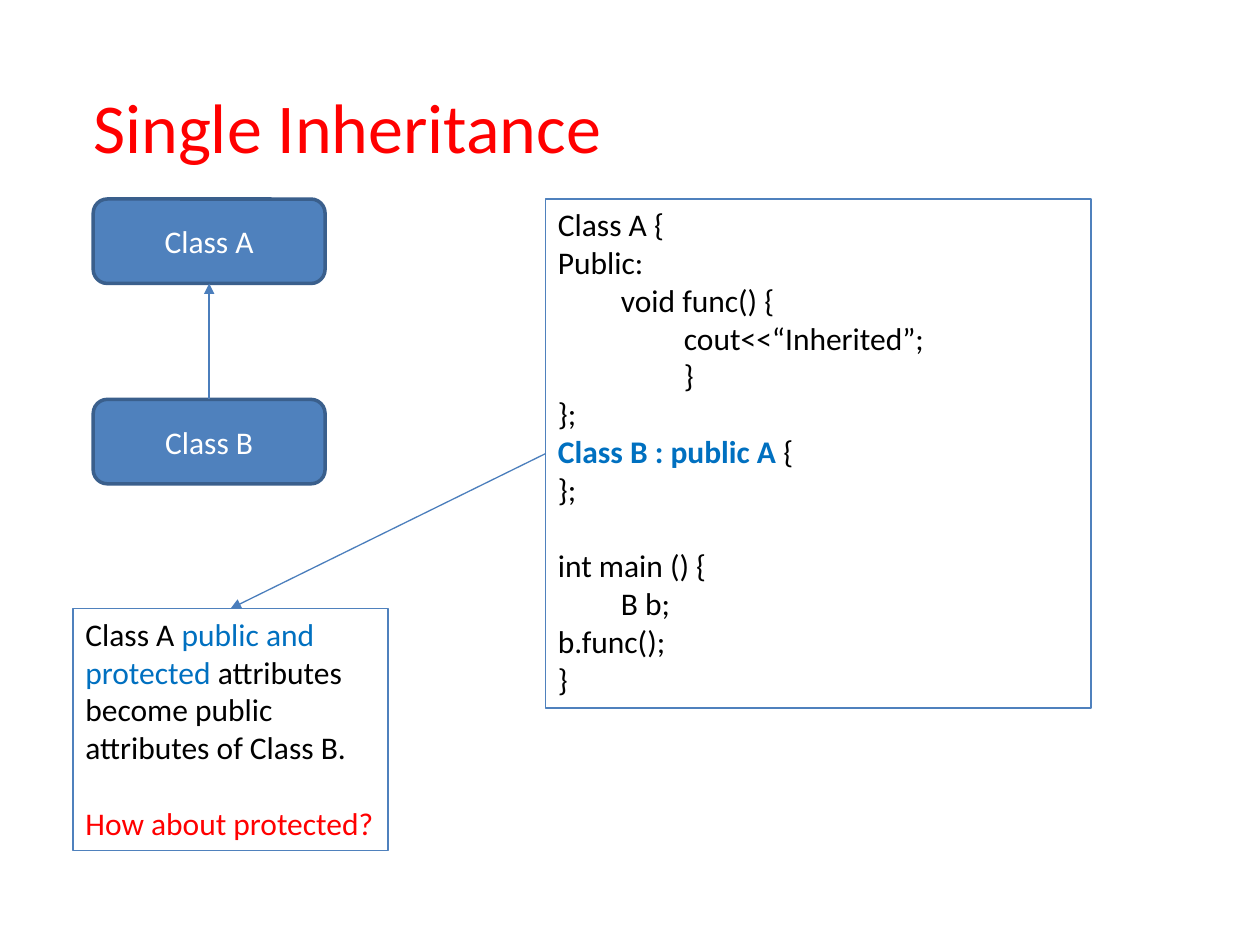
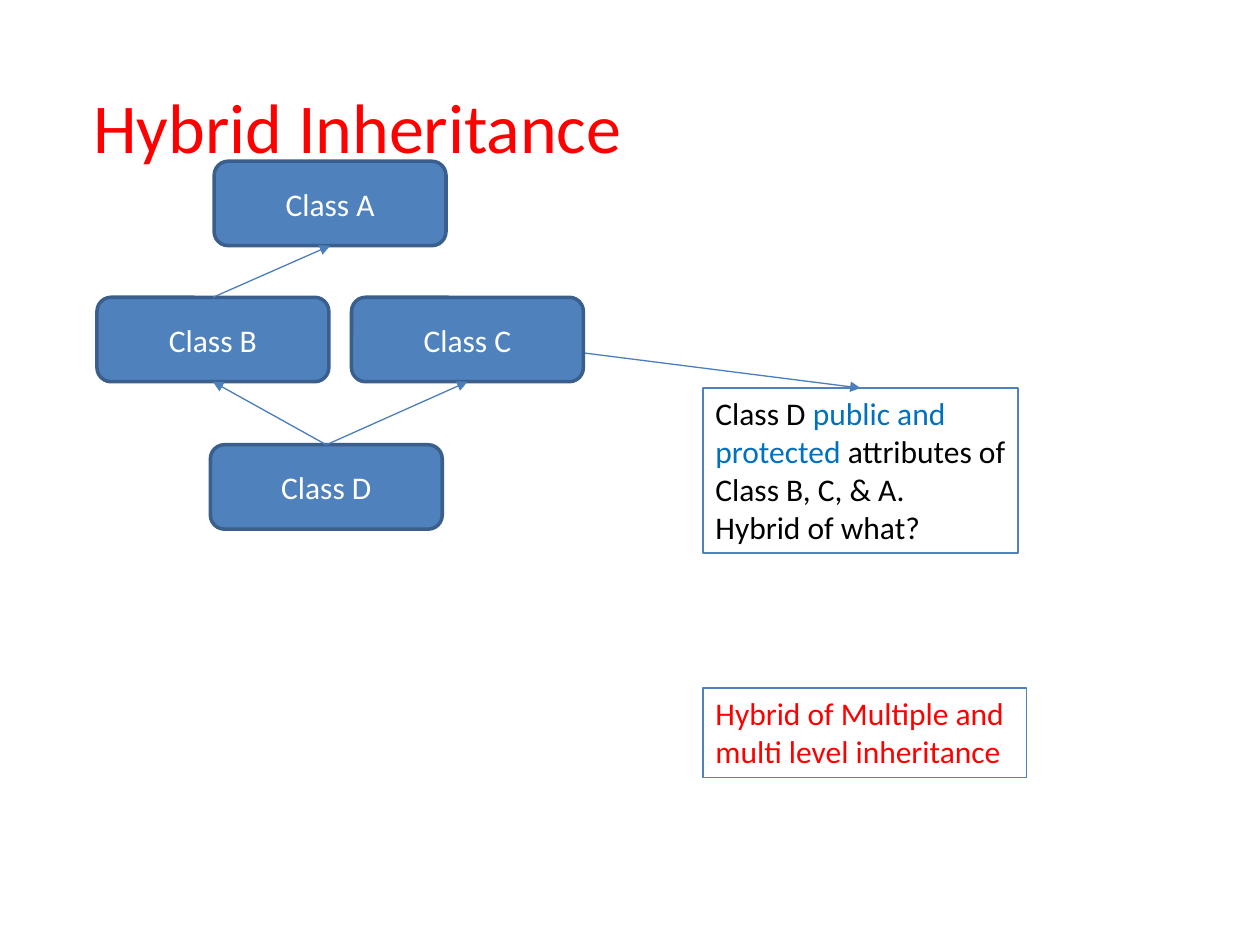
from lxml.etree import SubElement
from pptx import Presentation
from pptx.dml.color import RGBColor
from pptx.enum.shapes import MSO_CONNECTOR as CONNECTOR, MSO_SHAPE as SHAPE
from pptx.enum.text import MSO_ANCHOR as ANCHOR, PP_ALIGN as ALIGN
from pptx.oxml.ns import qn
from pptx.util import Inches, Pt

RED, BLUE, BLACK, WHITE = "FF0000", "0070C0", "000000", "FFFFFF"
NODE_FILL, NODE_EDGE, BOX_EDGE, ARROW = "4F81BD", "3A5F8C", "4F81BD", "4B7EBC"
TOP, LEFT, BOTTOM = 0, 1, 2
NODE_W, NODE_H = 1.84, 0.67
BODY = {"name": "Calibri", "size": Pt(18)}
TITLE = {"name": "Calibri", "size": Pt(40)}
NODE_FRAME = {"word_wrap": True, "vertical_anchor": ANCHOR.MIDDLE}
NOTE_FRAME = {"word_wrap": True, "vertical_anchor": ANCHOR.TOP}
NO_MARGINS = dict.fromkeys(
    ("margin_left", "margin_top", "margin_right", "margin_bottom"), 0)
LINE_GAP = Pt(22)

CODE = [
    "Class A {",
    "Public:",
    "\tvoid func() {",
    "\t\tcout<<“Inherited”;",
    "\t\t}",
    "};",
    [("Class B : public A ", BLUE, True), ("{", BLACK)],
    "};",
    "int main () {",
    "\tB b;",
    "b.func();",
    "}",
]


def rgb(value):
    """Turn a hex string into a colour."""
    return RGBColor.from_string(value)


def set_all(target, values):
    """Set each attribute named in a dict."""
    for name, value in values.items():
        setattr(target, name, value)


def write(tf, paragraphs, font=BODY, color=BLACK, align=ALIGN.LEFT, gap_before=None):
    """Write paragraphs, each a string or a list of (text, colour, bold) runs."""
    for i, runs in enumerate(paragraphs):
        p = tf.paragraphs[0] if i == 0 else tf.add_paragraph()
        p.alignment = align
        if i == gap_before:
            p.space_before = LINE_GAP
        for text, run_color, *bold in [(runs, color)] if isinstance(runs, str) else runs:
            r = p.add_run()
            r.text = text
            set_all(r.font, {**font, "bold": bool(bold)})
            r.font.color.rgb = rgb(run_color)


def add_title(s, text):
    """Add the slide title."""
    tf = s.shapes.add_textbox(*map(Inches, (0.74, 0.66, 8.52, 0.67))).text_frame
    set_all(tf, {"word_wrap": True, **NO_MARGINS})
    write(tf, [text], TITLE, RED)


def add_box(s, shape, place, edge, width, frame):
    """Add an outlined shape without fill or shadow."""
    sp = s.shapes.add_shape(shape, *map(Inches, place))
    sp.shadow.inherit = False
    sp.fill.background()
    sp.line.color.rgb = rgb(edge)
    sp.line.width = Pt(width)
    set_all(sp.text_frame, frame)
    return sp


def add_node(s, text, left, top):
    """Add a class node."""
    sp = add_box(s, SHAPE.ROUNDED_RECTANGLE, (left, top, NODE_W, NODE_H),
                 NODE_EDGE, 2, NODE_FRAME)
    sp.fill.solid()
    sp.fill.fore_color.rgb = rgb(NODE_FILL)
    write(sp.text_frame, [text], color=WHITE, align=ALIGN.CENTER)
    return sp


def add_note(s, place, paragraphs, **style):
    """Add a framed text box."""
    sp = add_box(s, SHAPE.RECTANGLE, place, BOX_EDGE, 0.75, NOTE_FRAME)
    write(sp.text_frame, paragraphs, **style)
    return sp


def add_arrow(s, end, end_site, begin=None, begin_site=TOP, start=(0, 0)):
    """Add an arrow to a shape from another shape or a free point."""
    x, y = map(Inches, start)
    c = s.shapes.add_connector(CONNECTOR.STRAIGHT, x, y, x, y)
    if begin is not None:
        c.begin_connect(begin, begin_site)
    c.end_connect(end, end_site)
    c.line.color.rgb = rgb(ARROW)
    c.line.width = Pt(0.75)
    SubElement(c.line._get_or_add_ln(), qn("a:tailEnd"), type="triangle")
    SubElement(c._element.spPr, qn("a:effectLst"))


def build_single(s):
    """Build the single inheritance slide."""
    add_title(s, "Single Inheritance")
    class_a = add_node(s, "Class A", 0.74, 1.58)
    class_b = add_node(s, "Class B", 0.74, 3.17)
    add_arrow(s, class_a, BOTTOM, class_b)
    code = add_note(s, (4.33, 1.58, 4.33, 4.04), CODE,
                    gap_before=CODE.index("int main () {"))
    note = add_note(s, (0.58, 4.83, 2.5, 1.92), [
        [("Class A ", BLACK), ("public and protected", BLUE),
         (" attributes become public attributes of Class B.", BLACK)],
        [("How about protected?", RED)],
    ], gap_before=1)
    add_arrow(s, note, TOP, code, LEFT)


def build_hybrid(s):
    """Build the hybrid inheritance slide."""
    add_title(s, "Hybrid Inheritance")
    class_b = add_node(s, "Class B", 0.77, 2.36)
    class_d = add_node(s, "Class D", 1.67, 3.53)
    note = add_note(s, (5.58, 3.08, 2.5, 1.31), [
        [("Class D ", BLACK), ("public and protected", BLUE),
         (" attributes of Class B, C, & A.", BLACK)],
        "Hybrid of what?",
    ])
    add_arrow(s, note, TOP, start=(4.23, 2.75))
    class_c = add_node(s, "Class C", 2.79, 2.36)
    class_a = add_node(s, "Class A", 1.7, 1.28)
    for parent, child in ((class_b, class_d), (class_c, class_d), (class_a, class_b)):
        add_arrow(s, parent, BOTTOM, child)
    add_note(s, (5.58, 5.46, 2.57, 0.71),
             ["Hybrid of Multiple and multi level inheritance"], color=RED)


def main():
    """Build and save the presentation."""
    prs = Presentation()
    set_all(prs, {"slide_width": Inches(10), "slide_height": Inches(7.5)})
    for build in (build_single, build_hybrid):
        build(prs.slides.add_slide(prs.slide_layouts[6]))
    prs.save("out.pptx")


if __name__ == "__main__":
    main()
